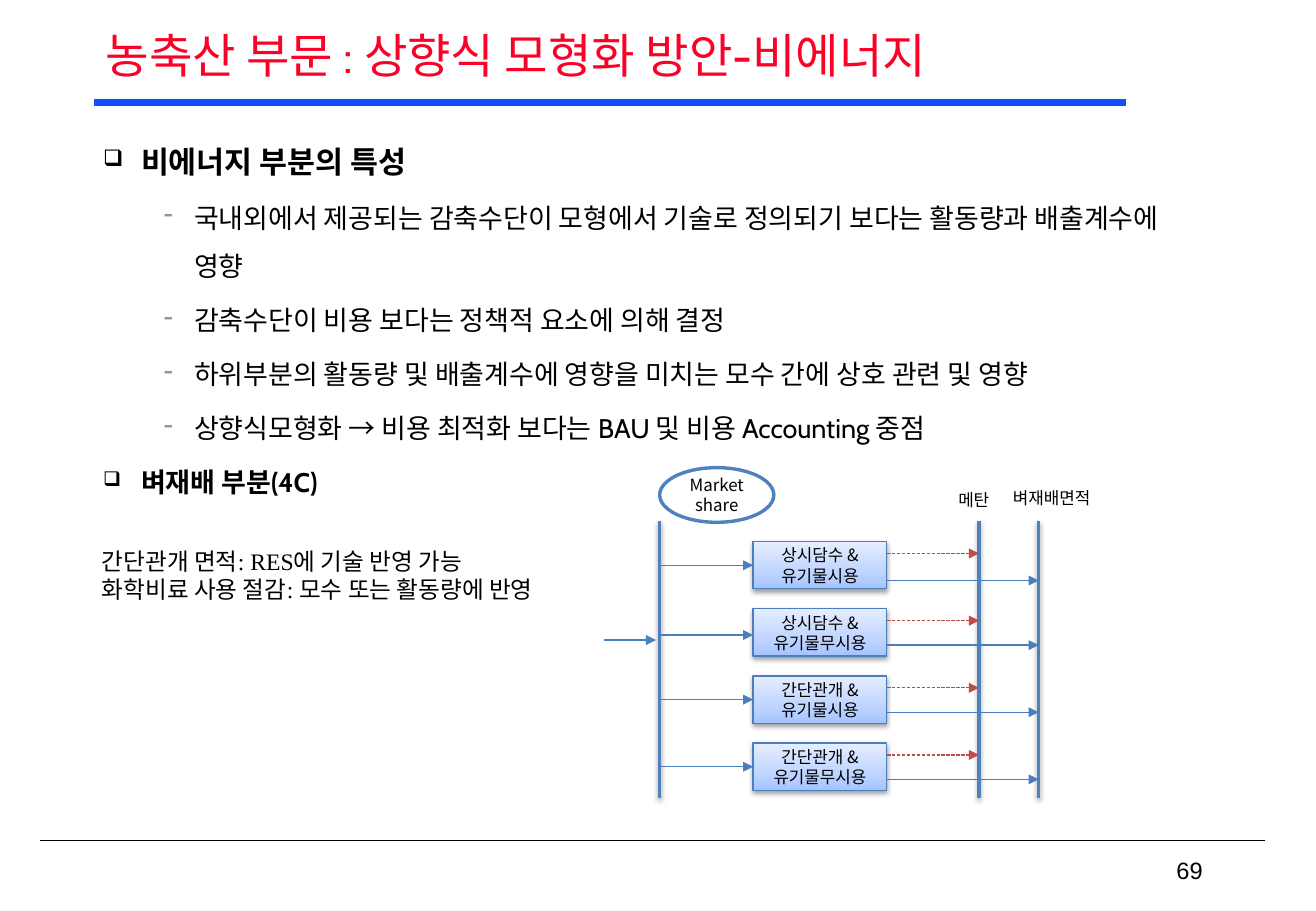
from copy import deepcopy

from lxml import etree
from pptx import Presentation
from pptx import util as u
from pptx.dml import color
from pptx.enum import dml, shapes, text
from pptx.oxml import ns

BLACK = color.RGBColor(0x00, 0x00, 0x00)
WHITE = color.RGBColor(0xFF, 0xFF, 0xFF)
TITLE_RED = color.RGBColor(0xFC, 0x01, 0x28)
RULE_BLUE = color.RGBColor(0x11, 0x4F, 0xFB)
BUS_BLUE = color.RGBColor(0x4F, 0x81, 0xBD)
FLOW_BLUE = color.RGBColor(0x4B, 0x7E, 0xBC)
METHANE_RED = color.RGBColor(0xBF, 0x4C, 0x48)
BOX_GRADIENT = (
    (0, color.RGBColor(0xA4, 0xC4, 0xFF)),
    (0.35, color.RGBColor(0xBF, 0xD4, 0xFF)),
    (1, color.RGBColor(0xE6, 0xEE, 0xFF)),
)
KOREAN_FONT = "Noto Sans CJK KR"
CENTER = {"alignment": text.PP_ALIGN.CENTER}
MIDDLE = {"vertical_anchor": text.MSO_ANCHOR.MIDDLE}
GROW = {"auto_size": text.MSO_AUTO_SIZE.SHAPE_TO_FIT_TEXT}
LABEL = {"name": KOREAN_FONT, "size": u.Pt(10)}
NOTE = {"name": "Times New Roman", "size": u.Pt(14)}
HEADING = {"name": "Cabin", "size": u.Pt(18), "bold": True}
SUBHEADING = {"name": "Cabin", "size": u.Pt(16), "bold": True}
POINT = {"name": "Cabin", "size": u.Pt(16)}
SQUARE_BULLET = {"char": "❑", "color": "000000", "size": 75, "left": 22.5, "hang": 22.5}
DASH_BULLET = {"char": "-", "color": "919191", "size": 100, "left": 54, "hang": 18}


def assign(target, values):
    for name, value in values.items():
        setattr(target, name, value)


def add_child(parent, tag, **attributes):
    return etree.SubElement(parent, ns.qn(tag), attributes)


class SlideBuilder:
    def __init__(self, slide):
        self.slide = slide

    def fill_text(self, frame, paragraphs, frame_format, paragraph_format, ink=BLACK):
        assign(frame, {"word_wrap": True, **frame_format})
        for index, (content, font_format, bullet) in enumerate(paragraphs):
            paragraph = frame.add_paragraph() if index else frame.paragraphs[0]
            if bullet:
                self.bullet(paragraph, bullet)
            assign(paragraph, paragraph_format)
            run = paragraph.add_run()
            run.text = content
            assign(run.font, font_format)
            run.font.color.rgb = ink
            add_child(run.font._element, "a:ea", typeface=KOREAN_FONT)

    def bullet(self, paragraph, bullet):
        properties = paragraph._p.get_or_add_pPr()
        properties.set("marL", str(u.Pt(bullet["left"])))
        properties.set("indent", str(-u.Pt(bullet["hang"])))
        bullet_color = add_child(properties, "a:buClr")
        add_child(bullet_color, "a:srgbClr", val=bullet["color"])
        add_child(properties, "a:buSzPct", val=str(bullet["size"] * 1000))
        add_child(properties, "a:buChar", char=bullet["char"])

    def text_box(self, bounds, paragraphs, frame_format, paragraph_format, ink=BLACK):
        shape = self.slide.shapes.add_textbox(*map(u.Pt, bounds))
        self.fill_text(shape.text_frame, paragraphs, frame_format, paragraph_format, ink)

    def shadow(self, effects):
        outer = add_child(effects, "a:outerShdw", blurRad=str(u.Pt(3.1)),
                          dist=str(u.Pt(1.6)), dir="5400000", rotWithShape="0")
        shade = add_child(outer, "a:srgbClr", val="000000")
        add_child(shade, "a:alpha", val="38000")

    def node(self, kind, bounds, label, line_color, line_width, gradient=None):
        shape = self.slide.shapes.add_shape(kind, *map(u.Pt, bounds))
        shape.shadow.inherit = False
        if gradient:
            shape.fill.gradient()
            shape.fill.gradient_angle = 90
            first = shape.fill.gradient_stops[0]._gs
            first.addnext(deepcopy(first))
            for stop, (position, stop_color) in zip(shape.fill.gradient_stops, gradient):
                stop.position = position
                stop.color.rgb = stop_color
            self.shadow(shape._element.spPr.find(ns.qn("a:effectLst")))
        else:
            shape.fill.solid()
            shape.fill.fore_color.rgb = WHITE
        shape.line.color.rgb = line_color
        shape.line.width = u.Pt(line_width)
        self.fill_text(shape.text_frame, [(label, LABEL, None)], MIDDLE, CENTER)
        return shape

    def line(self, start, end, line_color, width=0.75, arrow=False, dash=None, shadow=False):
        connector = self.slide.shapes.add_connector(
            shapes.MSO_CONNECTOR.STRAIGHT, *map(u.Pt, (*start, *end)))
        connector.line.color.rgb = line_color
        connector.line.width = u.Pt(width)
        if dash:
            connector.line.dash_style = dash
        if arrow:
            add_child(connector.line._get_or_add_ln(), "a:tailEnd", type="triangle")
        effects = add_child(connector._element.spPr, "a:effectLst")
        if shadow:
            self.shadow(effects)
        return connector


def main():
    presentation = Presentation()
    presentation.slide_width = u.Pt(780)
    presentation.slide_height = u.Pt(540)
    builder = SlideBuilder(presentation.slides.add_slide(presentation.slide_layouts[6]))

    builder.line((750, 498.2), (24, 498.2), BLACK, 1)
    builder.line((55.6, 60.8), (667.4, 60.8), RULE_BLUE, 3.75)
    builder.text_box(
        (55.6, 12.2, 669, 44.6),
        [("농축산 부문 : 상향식 모형화 방안-비에너지", {"name": "Cabin", "size": u.Pt(28)}, None)],
        MIDDLE, {"alignment": text.PP_ALIGN.JUSTIFY, "line_spacing": 0.9}, TITLE_RED)
    builder.text_box(
        (558, 504, 162, 24), [("69", {"name": "Arial", "size": u.Pt(14)}, None)],
        MIDDLE, {"alignment": text.PP_ALIGN.RIGHT})
    builder.text_box(
        (54, 70.6, 672, 409),
        [
            ("비에너지 부분의 특성", HEADING, SQUARE_BULLET),
            ("국내외에서 제공되는 감축수단이 모형에서 기술로 정의되기 보다는 활동량과 배출계수에 영향",
             POINT, DASH_BULLET),
            ("감축수단이 비용 보다는 정책적 요소에 의해 결정", POINT, DASH_BULLET),
            ("하위부분의 활동량 및 배출계수에 영향을 미치는 모수 간에 상호 관련 및 영향",
             POINT, DASH_BULLET),
            ("상향식모형화 → 비용 최적화 보다는 BAU 및 비용 Accounting 중점", POINT, DASH_BULLET),
            ("벼재배 부분(4C)", SUBHEADING, SQUARE_BULLET),
        ],
        {}, {"line_spacing": 1.5, "space_after": u.Pt(3.2)})

    share_x, methane_x, area_x = 391, 580.3, 615.6
    for bus_x in (share_x, methane_x, area_x):
        builder.line((bus_x, 308.8), (bus_x, 473), BUS_BLUE, 2, shadow=True)
    builder.line((357.8, 379.4), (388.8, 379.4), FLOW_BLUE, arrow=True)
    builder.node(shapes.MSO_SHAPE.OVAL, (share_x, 277.2, 67.7, 32.4),
                 "Market share", BUS_BLUE, 2)

    box_left, box_width, box_height = 446.4, 79.2, 28
    practices = (
        ("상시담수 & 유기물시용", 0, 23),
        ("상시담수 & 유기물무시용", 1.5, 21.5),
        ("간단관개 & 유기물시용", 0, 21.5),
        ("간단관개 & 유기물무시용", 0, 21.5),
    )
    for row, (label, feed_drop, area_drop) in enumerate(practices):
        top = 321.1 + row * 39.8
        right = box_left + box_width
        feed_y = top + box_height / 2 + feed_drop
        box = builder.node(shapes.MSO_SHAPE.RECTANGLE, (box_left, top, box_width, box_height),
                           label, FLOW_BLUE, 0.75, BOX_GRADIENT)
        feed = builder.line((share_x, feed_y), (box_left, feed_y), FLOW_BLUE, arrow=True)
        if not feed_drop:
            feed.end_connect(box, 1)
        builder.line((right, top + 7), (methane_x, top + 7), METHANE_RED,
                     arrow=True, dash=dml.MSO_LINE.SQUARE_DOT)
        builder.line((right, top + area_drop), (area_x, top + area_drop), FLOW_BLUE, arrow=True)

    builder.text_box((593.3, 285.8, 79.2, 19.4), [("벼재배면적", LABEL, None)], GROW, {})
    builder.text_box((560.9, 286.6, 37.4, 19.4), [("메탄", LABEL, None)], GROW, {})
    builder.text_box(
        (53.3, 320.4, 304.6, 41),
        [("간단관개 면적: RES에 기술 반영 가능", NOTE, None),
         ("화학비료 사용 절감: 모수 또는 활동량에 반영", NOTE, None)],
        GROW, {})
    presentation.save("out.pptx")


if __name__ == "__main__":
    main()
